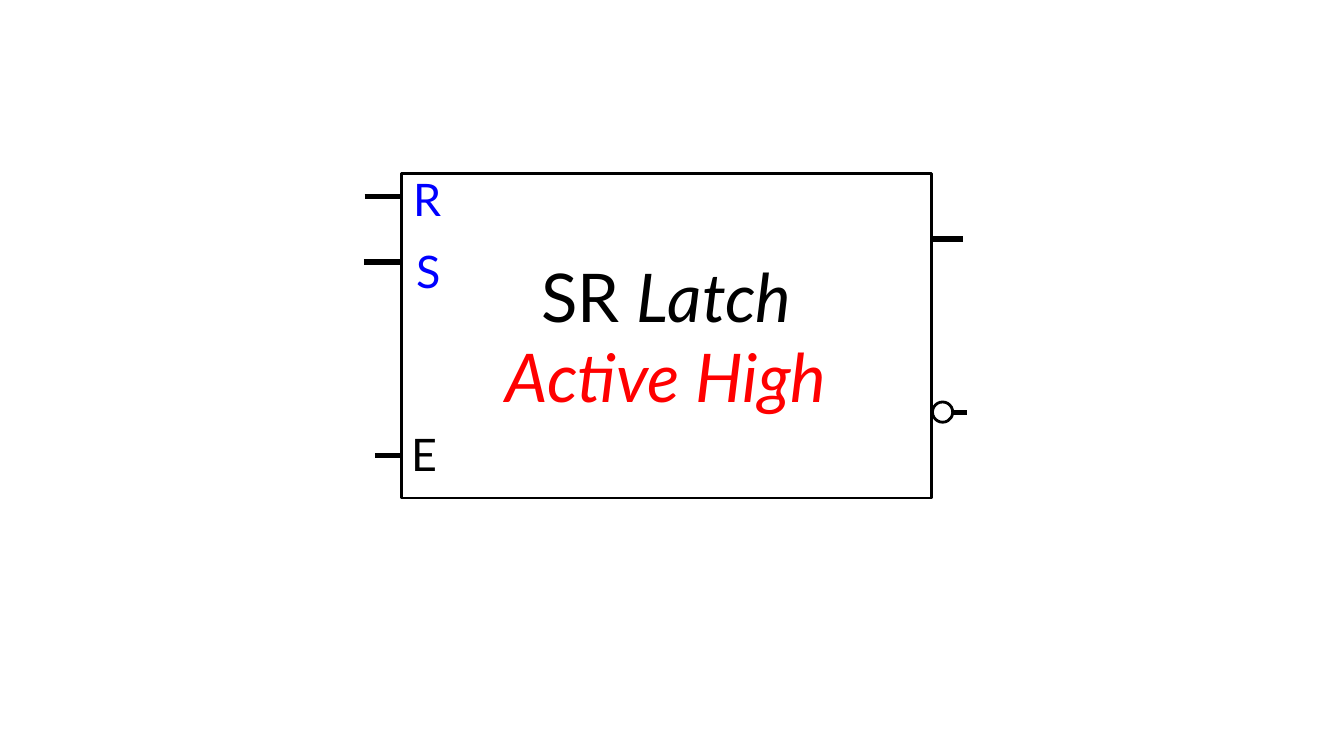
from pptx import Presentation
from pptx import util as u
from pptx.dml.color import RGBColor
from pptx.enum import shapes, text
from pptx.oxml.ns import qn
from lxml import etree

BLACK = RGBColor(0, 0, 0)
WHITE = RGBColor(255, 255, 255)
BLUE = RGBColor(0, 0, 255)
RED = RGBColor(255, 0, 0)


class Board:
    def __init__(self, deck):
        self.items = deck.slides.add_slide(deck.slide_layouts[6]).shapes
        self.face = "Lato"
        self.edge = u.Pt(2)
        self.wire = u.Pt(4)

    def pin(self, left, right, y):
        line = self.items.add_connector(
            shapes.MSO_CONNECTOR.STRAIGHT, *map(u.Cm, (left, y, right, y)))
        line.line.color.rgb = BLACK
        line.line.width = self.wire
        etree.SubElement(line._element.spPr, qn("a:effectLst"))

    def shape(self, kind, *area):
        item = self.items.add_shape(kind, *map(u.Cm, area))
        item.shadow.inherit = False
        item.fill.solid()
        item.fill.fore_color.rgb = WHITE
        item.line.color.rgb = BLACK
        item.line.width = self.edge
        return item

    def run(self, para, words, color, **style):
        run = para.add_run()
        run.text = words
        for key, value in {"name": self.face, **style}.items():
            setattr(run.font, key, value)
        run.font.color.rgb = color

    def title(self, item, rows):
        frame = item.text_frame
        frame.vertical_anchor = text.MSO_ANCHOR.MIDDLE
        for i, row in enumerate(rows):
            para = frame.add_paragraph() if i else frame.paragraphs[0]
            para.alignment = text.PP_ALIGN.CENTER
            for words, color, slant in row:
                self.run(para, words, color, size=u.Pt(48), italic=slant)

    def label(self, words, color, left, top, width):
        box = self.items.add_textbox(*map(u.Cm, (left, top, width, 1.63)))
        frame = box.text_frame
        frame.word_wrap = False
        frame.auto_size = text.MSO_AUTO_SIZE.SHAPE_TO_FIT_TEXT
        self.run(frame.paragraphs[0], words, color, size=u.Pt(32))


def main():
    deck = Presentation()
    deck.slide_width = u.Cm(33.87)
    deck.slide_height = u.Cm(19.05)
    board = Board(deck)

    for pin in ((22.2, 24.28, 6.02), (22.28, 24.36, 10.39)):
        board.pin(*pin)
    board.shape(shapes.MSO_SHAPE.OVAL, 23.5, 10.13, 0.51, 0.51)
    for pin in ((9.17, 11.23, 6.6), (9.19, 13, 4.95), (9.45, 13.26, 11.48)):
        board.pin(*pin)

    latch = board.shape(shapes.MSO_SHAPE.RECTANGLE, 10.11, 4.37, 13.36, 8.18)
    board.title(latch, (
        (("SR ", BLACK, False), ("Latch", BLACK, True)),
        (("Active High", RED, True),),
    ))

    for label in (("R", BLUE, 10.16, 4.19, 1.19),
                  ("S", BLUE, 10.24, 6.02, 1.12),
                  ("E", BLACK, 10.11, 10.64, 1.12)):
        board.label(*label)

    deck.save("out.pptx")


if __name__ == "__main__":
    main()
